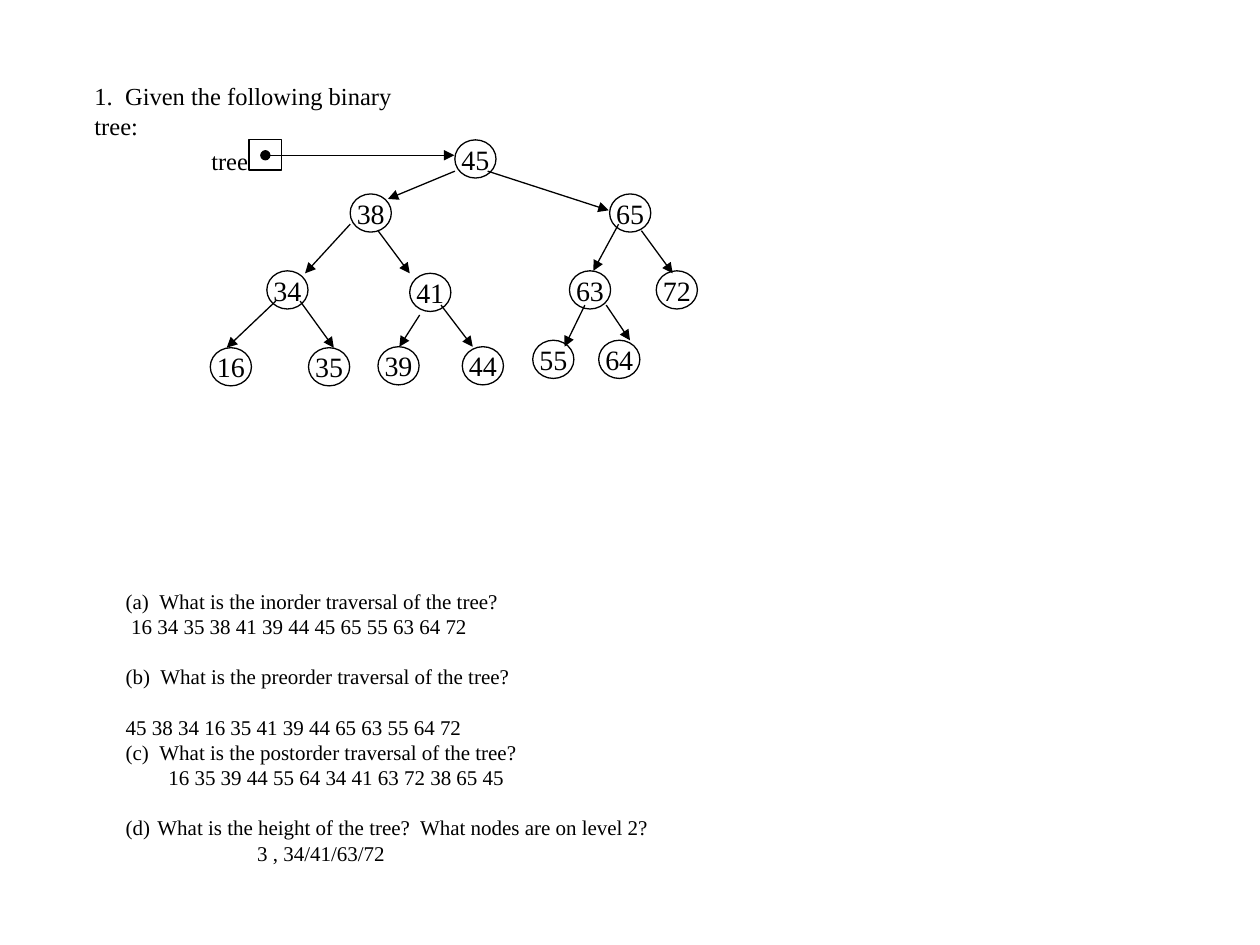
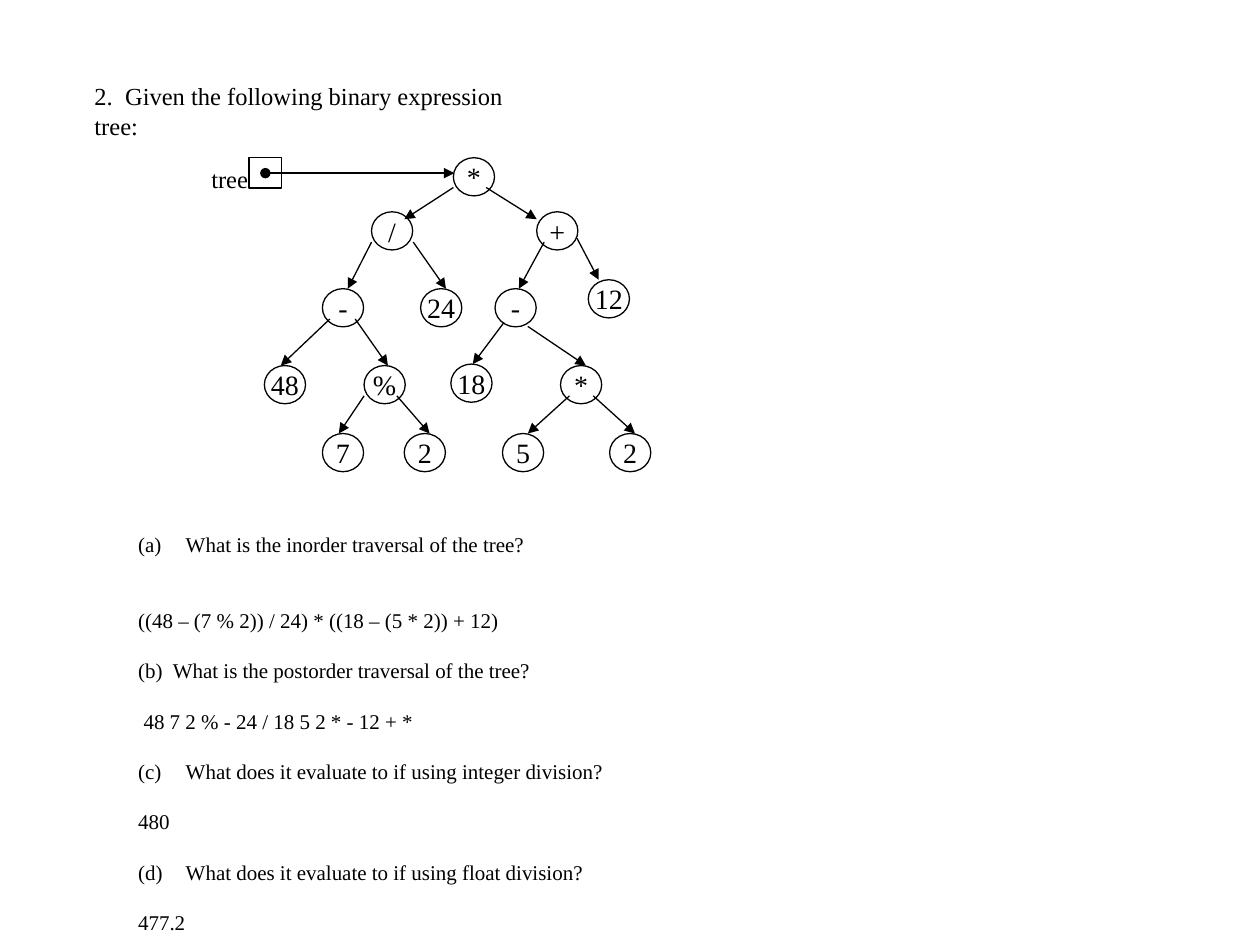
from dataclasses import dataclass

from lxml import etree
from pptx import Presentation
from pptx.dml.color import RGBColor
from pptx.enum.shapes import MSO_CONNECTOR, MSO_SHAPE
from pptx.enum.text import MSO_ANCHOR, MSO_AUTO_SIZE, PP_ALIGN
from pptx.oxml.ns import qn
from pptx.util import Cm, Pt

OVAL, RECT = MSO_SHAPE.OVAL, MSO_SHAPE.RECTANGLE
LINE = MSO_CONNECTOR.STRAIGHT
TOP, MIDDLE = MSO_ANCHOR.TOP, MSO_ANCHOR.MIDDLE
LEFT, CENTER = PP_ALIGN.LEFT, PP_ALIGN.CENTER
FIXED = MSO_AUTO_SIZE.NONE


@dataclass
class Theme:
    """Colours, type sizes and line measures of the whole deck."""
    font: str = "Times New Roman"
    ink: RGBColor = RGBColor(0, 0, 0)
    head: float = 14
    body: float = 12
    node: float = 16
    head_row: float = 17.1
    body_row: float = 14.4
    rule: float = 0.75


class Deck:
    """Holds the theme and the current slide, and draws on it."""

    def __init__(self, theme):
        """Start an empty deck of 4:3 slides."""
        self.theme = theme
        self.file = Presentation()
        self.file.slide_width, self.file.slide_height = Cm(25.4), Cm(19.05)
        self.slide = None

    def page(self):
        """Add a slide with a title and a body."""
        self.slide = self.file.slides.add_slide(self.file.slide_layouts[1])

    def place(self, shape, box):
        """Move a placeholder to a box and fix its text frame."""
        shape.left, shape.top, shape.width, shape.height = map(Cm, box)
        frame = shape.text_frame
        frame.auto_size, frame.word_wrap = FIXED, True
        frame.vertical_anchor = TOP
        return frame

    def style(self, para, size, align=LEFT):
        """Set the font and alignment of a paragraph."""
        para.alignment = align
        para.font.name, para.font.size = self.theme.font, Pt(size)
        para.font.color.rgb = self.theme.ink

    def title(self, text, width):
        """Write the task at the top of the slide."""
        frame = self.place(self.slide.shapes.title, (1.65, 1.5, width, 0.84))
        frame.margin_right = Cm(0.5)
        para = frame.paragraphs[0]
        para.text = text
        para.line_spacing = Pt(self.theme.head_row)
        self.style(para, self.theme.head)

    def row(self, para, text, gap, left, start=None):
        """Write one list line; start gives its letter, if it has one."""
        para.text = text
        props = para._p.get_or_add_pPr()
        props.set("marL", str(Cm(left)))
        props.set("indent", str(-Cm(left) if start else 0))
        if start:
            etree.SubElement(props, qn("a:buFont"), typeface=self.theme.font)
            etree.SubElement(props, qn("a:buAutoNum"),
                             type="alphaLcParenBoth", startAt=str(start))
        else:
            etree.SubElement(props, qn("a:buNone"))
        para.line_spacing = Pt(self.theme.body_row)
        para.space_before = Pt(gap * self.theme.body_row)
        para.space_after = Pt(0)
        self.style(para, self.theme.body)

    def quiz(self, box, items):
        """List lettered questions, each with its answer below."""
        frame = self.place(self.slide.placeholders[1], box)
        for num, (gap, hang, ask, space, left, reply) in enumerate(items, 1):
            para = frame.paragraphs[0] if num == 1 else frame.add_paragraph()
            self.row(para, ask, gap, hang, num)
            self.row(frame.add_paragraph(), reply, space, left)

    def shape(self, kind, box):
        """Add an unfilled outline shape."""
        shape = self.slide.shapes.add_shape(kind, *map(Cm, box))
        shape.shadow.inherit = False
        shape.fill.background()
        shape.line.color.rgb = self.theme.ink
        shape.line.width = Pt(self.theme.rule)
        return shape

    def node(self, text, left, top):
        """Add a round tree node."""
        frame = self.shape(OVAL, (left, top, 0.83, 0.77)).text_frame
        frame.margin_left = frame.margin_right = 0
        frame.margin_top = frame.margin_bottom = 0
        frame.word_wrap, frame.vertical_anchor = False, MIDDLE
        frame.paragraphs[0].text = text
        self.style(frame.paragraphs[0], self.theme.node, CENTER)

    def arrow(self, ends, dot=False):
        """Add an arrow, with a dot at its start if asked."""
        line = self.slide.shapes.add_connector(LINE, *map(Cm, ends))
        line.line.color.rgb = self.theme.ink
        line.line.width = Pt(self.theme.rule)
        stroke = line.line._get_or_add_ln()
        if dot:
            etree.SubElement(stroke, qn("a:headEnd"), type="oval")
        etree.SubElement(stroke, qn("a:tailEnd"), type="triangle")
        etree.SubElement(line._element.spPr, qn("a:effectLst"))

    def root(self, top):
        """Add the labelled pointer to the root node."""
        self.shape(RECT, (5.02, top, 0.66, 0.61))
        label = self.slide.shapes.add_textbox(
            Cm(4.01), Cm(top), Cm(1.24), Cm(0.84))
        frame = label.text_frame
        frame.auto_size, frame.word_wrap = FIXED, False
        frame.margin_right = 0
        para = frame.paragraphs[0]
        para.text = "tree"
        self.style(para, self.theme.head)
        self.arrow((5.35, top + 0.31, 9.16, top + 0.31), dot=True)

    def tree(self, nodes, edges):
        """Draw nodes, edges and the pointer; the root comes first."""
        for node in nodes:
            self.node(*node)
        for edge in edges:
            self.arrow(edge)
        self.root(nodes[0][2])


# Nodes: text, left, top. Edges: x and y of start, x and y of end.
SEARCH_NODES = [
    ("45", 9.17, 2.82),
    ("38", 7.06, 3.91), ("65", 12.29, 3.91),
    ("34", 5.38, 5.46), ("41", 8.26, 5.51),
    ("63", 11.48, 5.46), ("72", 13.23, 5.46),
    ("16", 4.24, 7.01), ("35", 6.22, 7.01),
    ("39", 7.62, 6.99), ("44", 9.32, 6.99),
    ("55", 10.74, 6.86), ("64", 12.07, 6.86),
]
SEARCH_EDGES = [
    (9.17, 3.45, 7.82, 4.01), (9.83, 3.45, 12.27, 4.24),
    (7.06, 4.52, 6.15, 5.51), (7.62, 4.65, 8.26, 5.51),
    (12.47, 4.52, 11.96, 5.46), (12.93, 4.65, 13.56, 5.51),
    (5.56, 6.07, 4.57, 7.01), (6.05, 6.07, 6.73, 7.01),
    (8.46, 6.35, 8.05, 6.99), (8.89, 6.15, 9.53, 6.99),
    (11.79, 6.15, 11.38, 6.99), (12.22, 6.15, 12.7, 6.86),
]
MATH_NODES = [
    ("*", 9.14, 3.18),
    ("/", 7.49, 4.27), ("+", 10.82, 4.27),
    ("-", 6.5, 5.82), ("24", 8.48, 5.82),
    ("-", 9.98, 5.82), ("12", 11.86, 5.64),
    ("48", 5.33, 7.37), ("%", 7.34, 7.37),
    ("18", 9.09, 7.34), ("*", 11.3, 7.37),
    ("7", 6.5, 8.74), ("2", 8.15, 8.74),
    ("5", 10.13, 8.74), ("2", 12.29, 8.74),
]
MATH_EDGES = [
    (9.14, 3.78, 8.15, 4.42), (9.8, 3.78, 10.82, 4.42),
    (7.49, 4.88, 7.01, 5.82), (8.33, 4.88, 8.99, 5.82),
    (10.97, 4.88, 10.46, 5.82), (11.63, 4.8, 12.07, 5.64),
    (6.65, 6.43, 5.66, 7.37), (7.16, 6.43, 7.82, 7.37),
    (10.16, 6.5, 9.53, 7.34), (10.64, 6.58, 11.81, 7.37),
    (7.34, 7.98, 6.83, 8.74), (8, 7.98, 8.66, 8.74),
    (11.48, 7.98, 10.64, 8.74), (11.96, 7.98, 12.8, 8.74),
]

# Items: rows above, hang, question, rows above, indent, answer.
SEARCH_QUIZ = [
    (0, 0.68, "What is the inorder traversal of the tree?",
     0, 0.11, "16 34 35 38 41 39 44 45 65 55 63 64 72"),
    (1, 0.7, "What is the preorder traversal of the tree?",
     1, 0, "45 38 34 16 35 41 39 44 65 63 55 64 72"),
    (0, 0.68, "What is the postorder traversal of the tree?",
     0, 0.86, "16 35 39 44 55 64 34 41 63 72 38 65 45"),
    (1, 0.64, "What is the height of the tree?  What nodes are on level 2?",
     0, 2.65, "3 , 34/41/63/72"),
]
MATH_QUIZ = [
    (0, 0.96, "What is the inorder traversal of the tree?",
     2, 0, "((48 – (7 % 2)) / 24) * ((18 – (5 * 2)) + 12)"),
    (1, 0.7, "What is the postorder traversal of the tree?",
     1, 0.11, "48 7 2 % - 24 / 18 5 2 * - 12 + *"),
    (1, 0.96, "What does it evaluate to if using integer division?",
     1, 0, "480"),
    (1, 0.96, "What does it evaluate to if using float division?",
     1, 0, "477.2"),
]

deck = Deck(Theme())

deck.page()
deck.title("1.  Given the following binary tree:", 7.49)
deck.quiz((2.28, 11.73, 11.3, 5.89), SEARCH_QUIZ)
deck.tree(SEARCH_NODES, SEARCH_EDGES)

deck.page()
deck.title("2.  Given the following binary expression tree:", 9.73)
deck.quiz((2.53, 10.59, 10.01, 8.4), MATH_QUIZ)
deck.tree(MATH_NODES, MATH_EDGES)

deck.file.save("out.pptx")
